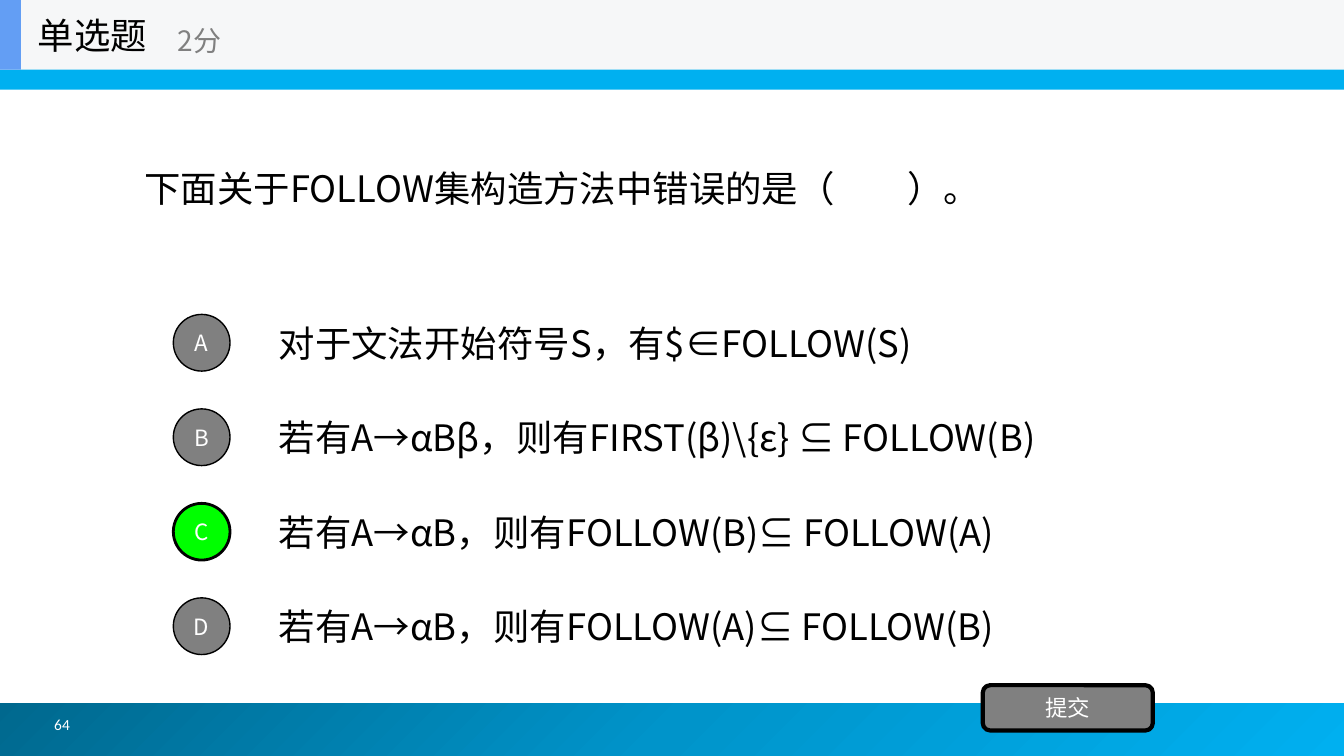
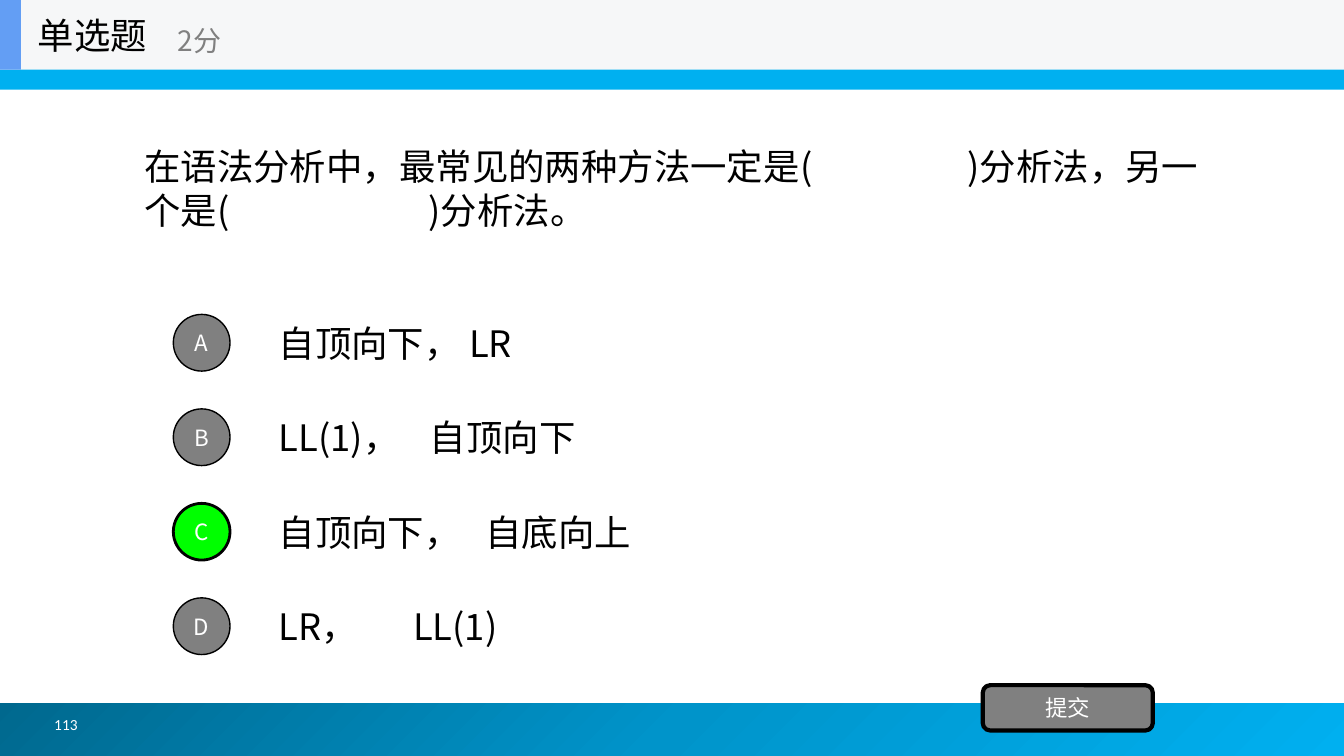
import pptx
import pptx.util
import pptx.dml.color
import pptx.enum.shapes
import pptx.enum.text
import pptx.oxml
import pptx.oxml.ns
import copy

Pt = pptx.util.Pt
SHAPE = pptx.enum.shapes.MSO_SHAPE
ALIGN = pptx.enum.text.PP_ALIGN

WIDTH, HEIGHT = 960, 540
CJK, LATIN = "Noto Sans CJK SC", "Calibri"
BLACK, WHITE, GRAY = "000000", "FFFFFF", "808080"
SKY, GREEN, PALE, BLUE = "00B0F0", "00FF00", "F6F7F8", "639EF4"
FOOTER_STOPS = [(0, "00688E"), (0.5, "0094CA"), (1, SKY)]

HEADING, SCORE, SUBMIT = "单选题", "2分", "提交"
HEADER_HEIGHT = 49.7
OPTION_TOP, OPTION_STEP, OPTION_HEIGHT, CIRCLE_SIZE = 219.6, 67.5, 50.4, 40.5

QUESTIONS = [
    {
        "number": "64",
        "question": "下面关于FOLLOW集构造方法中错误的是（\t）。",
        "blanks": [545],
        "answer": "C",
        "options": [
            ("对于文法开始符号S，有$∈FOLLOW(S)", []),
            ("若有A→αBβ，则有FIRST(β)\\{ε} ⊆ FOLLOW(B)", []),
            ("若有A→αB，则有FOLLOW(B)⊆ FOLLOW(A)", []),
            ("若有A→αB，则有FOLLOW(A)⊆ FOLLOW(B)", []),
        ],
    },
    {
        "number": "113",
        "question": "在语法分析中，最常见的两种方法一定是(\t)分析法，另一个是(\t)分析法。",
        "blanks": [203, 588],
        "answer": "C",
        "options": [
            ("自顶向下， LR", []),
            ("LL(1)，\t自顶向下", [108]),
            ("自顶向下，\t自底向上", [147.5]),
            ("LR，\tLL(1)", [96]),
        ],
    },
]


def color(value):
    return pptx.dml.color.RGBColor.from_string(value)


def write(shape, text, size, ink, font=CJK, tabs=(), align=ALIGN.LEFT):
    frame = shape.text_frame
    frame.vertical_anchor = pptx.enum.text.MSO_ANCHOR.MIDDLE
    para = frame.paragraphs[0]
    para.add_run().text = text
    para.alignment = align
    properties = para._p.get_or_add_pPr()
    if tabs:
        stops = pptx.oxml.ns.qn("a:tabLst")
        tab_list = properties.makeelement(stops, {})
        properties.append(tab_list)
        for position in tabs:
            tab = tab_list.makeelement(
                pptx.oxml.ns.qn("a:tab"), {"pos": str(Pt(position)), "algn": "l"}
            )
            tab_list.append(tab)
    para.font.name = font
    para.font.size = Pt(size)
    para.font.color.rgb = color(ink)
    defaults = properties.find(pptx.oxml.ns.qn("a:defRPr"))
    defaults.append(defaults.makeelement(pptx.oxml.ns.qn("a:ea"), {"typeface": font}))
    return para


def add_text(shapes, area, text, size, ink=BLACK, font=CJK, tabs=()):
    box = shapes.add_textbox(*map(Pt, area))
    box.text_frame.word_wrap = True
    return write(box, text, size, ink, font, tabs)


def add_shape(shapes, kind, area, fill, line_width=0):
    shape = shapes.add_shape(kind, *map(Pt, area))
    shape.shadow.inherit = False
    shape.fill.solid()
    shape.fill.fore_color.rgb = color(fill)
    if line_width:
        shape.line.color.rgb = color(BLACK)
        shape.line.width = Pt(line_width)
    else:
        shape.line.fill.background()
    return shape


def add_button(shapes, kind, area, fill, line_width, text):
    button = add_shape(shapes, kind, area, fill, line_width)
    frame = button.text_frame
    frame.word_wrap = False
    frame.margin_left = frame.margin_right = frame.margin_top = frame.margin_bottom = 0
    write(button, text, 16, WHITE, align=ALIGN.CENTER)


def add_frame(page, number):
    footer = add_shape(page.shapes, SHAPE.RECTANGLE, (-3.6, 502.5, 964, 37.5), SKY)
    footer.fill.gradient()
    footer.fill.gradient_angle = 315
    stop_list = footer._element.spPr.find(".//" + pptx.oxml.ns.qn("a:gsLst"))
    stop_list.insert(1, copy.deepcopy(stop_list[0]))
    for stop, (position, value) in zip(footer.fill.gradient_stops, FOOTER_STOPS):
        stop.position = position
        stop.color.rgb = color(value)

    add_shape(page.shapes, SHAPE.RECTANGLE, (-1.5, 1.5, 962, 62.5), SKY)
    add_text(page.shapes, (31.7, 499.7, 208, 36), number, 11, WHITE, LATIN)

    header = page.shapes.add_group_shape().shapes
    add_shape(header, SHAPE.RECTANGLE, (0, 0, WIDTH, HEADER_HEIGHT), PALE)
    add_shape(header, SHAPE.RECTANGLE, (0, 0, 15, HEADER_HEIGHT), BLUE)
    add_text(header, (20, 0, 150, HEADER_HEIGHT), HEADING, 26)
    add_text(header, (120, 8.6, 180, 40.3), SCORE, 20, GRAY)


def add_question(page, item):
    para = add_text(
        page.shapes, (96, 49.7, 768, 168.5), item["question"], 26, tabs=item["blanks"]
    )
    para.line_spacing = Pt(31.5)

    for index, (text, tabs) in enumerate(item["options"]):
        top = OPTION_TOP + index * OPTION_STEP
        add_text(page.shapes, (192, top, 672, OPTION_HEIGHT), text, 26, tabs=tabs)

    for index, letter in enumerate("ABCD"):
        top = OPTION_TOP + index * OPTION_STEP + (OPTION_HEIGHT - CIRCLE_SIZE) / 2
        fill, line_width = (GREEN, 2) if letter == item["answer"] else (GRAY, 1)
        area = (123.8, top, CIRCLE_SIZE, CIRCLE_SIZE)
        add_button(page.shapes, SHAPE.OVAL, area, fill, line_width, letter)

    area = (702, 489.4, 121.5, 32.4)
    add_button(page.shapes, SHAPE.ROUNDED_RECTANGLE, area, GRAY, 3, SUBMIT)


def main():
    deck = pptx.Presentation()
    deck.slide_width, deck.slide_height = Pt(WIDTH), Pt(HEIGHT)
    for item in QUESTIONS:
        page = deck.slides.add_slide(deck.slide_layouts[6])
        add_frame(page, item["number"])
        add_question(page, item)
    deck.save("out.pptx")


if __name__ == "__main__":
    main()
